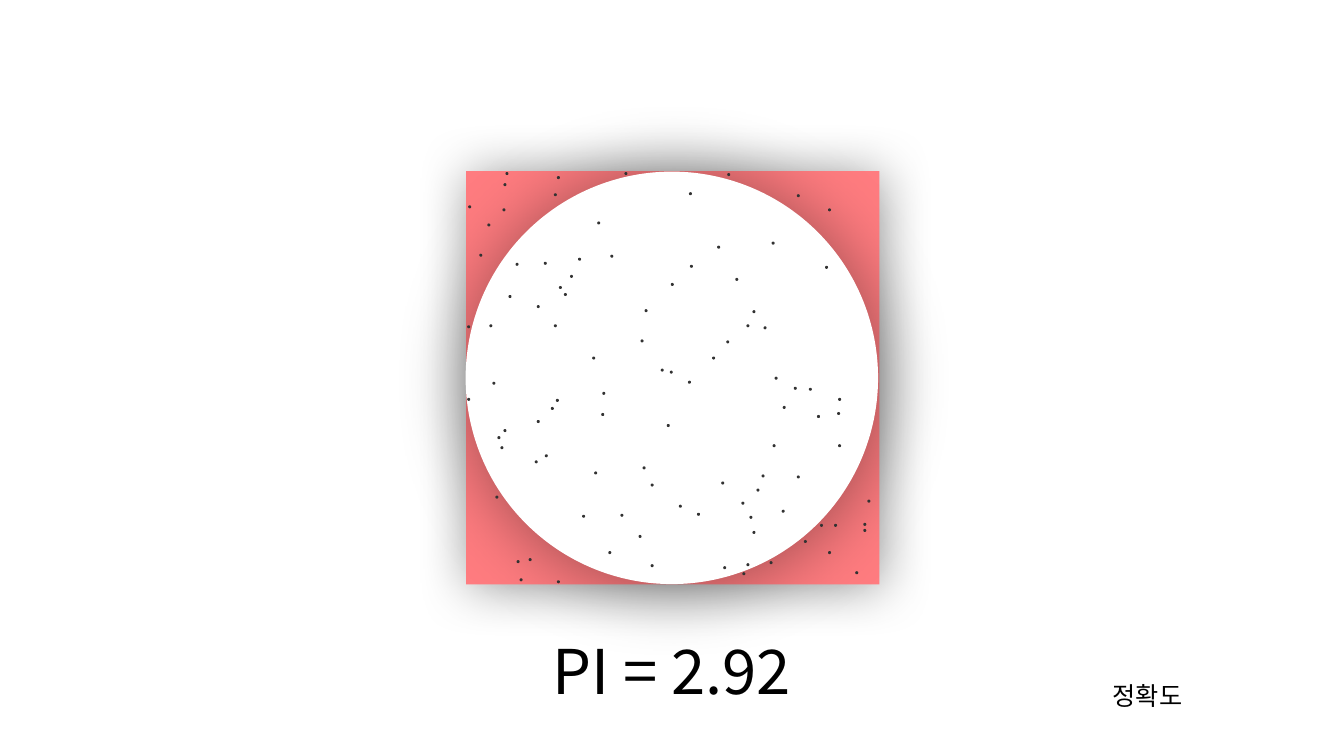
from math import hypot

from lxml import etree
from pptx import Presentation
from pptx.dml.color import RGBColor
from pptx.enum.shapes import MSO_SHAPE as SHAPE
from pptx.enum.text import MSO_ANCHOR as ANCHOR, MSO_AUTO_SIZE as AUTO, PP_ALIGN as ALIGN
from pptx.oxml.ns import qn
from pptx.util import Pt

FONT = "Noto Sans CJK KR"
INK, DOT_INK, CORNER_RED, WHITE = "000000", "323232", "FF7C80", "FFFFFF"
SLIDE_W, SLIDE_H = 960, 540
SIDE = 295.2  # side of the square
DOT = 2.16  # diameter of a sample dot

# The experiment's data: random throws at a square of GRID by GRID steps,
# as column and row from its top left corner
GRID = 410
RADIUS = GRID / 2
THROWS = [
    (42, 123), (37, 12), (394, 349), (111, 86), (203, 111), (90, 406),
    (202, 198), (87, 152), (221, 21), (259, 2), (89, 226), (328, 302),
    (222, 93), (23, 152), (284, 357), (34, 273), (386, 397), (199, 251),
    (359, 37), (255, 392), (340, 215), (278, 389), (249, 74), (1, 153),
    (175, 293), (273, 328), (50, 386), (130, 50), (244, 184), (97, 121),
    (220, 208), (278, 152), (143, 83), (183, 310), (153, 340), (293, 301),
    (135, 219), (49, 91), (13, 82), (29, 322), (134, 240), (141, 377),
    (127, 298), (369, 225), (314, 233), (398, 326), (365, 350), (157, 1),
    (92, 114), (53, 404), (351, 350), (84, 234), (368, 239), (284, 138),
    (70, 133), (31, 263), (62, 384), (335, 366), (78, 281), (87, 22),
    (394, 355), (173, 167), (68, 287), (348, 242), (193, 196), (281, 342),
    (301, 387), (306, 204), (183, 390), (229, 339), (177, 137), (274, 398),
    (328, 23), (103, 103), (70, 247), (369, 271), (37, 256), (304, 271),
    (313, 336), (303, 70), (2, 34), (115, 341), (171, 361), (1, 225),
    (359, 377), (356, 94), (90, 5), (211, 331), (77, 90), (325, 214),
    (267, 106), (258, 168), (21, 52), (36, 37), (39, 1), (288, 315),
    (295, 154), (26, 209), (125, 184), (253, 308),
]


def hits_circle(col, row):
    return hypot(col - RADIUS, row - RADIUS) < RADIUS


def estimate_pi(throws):
    # The circle covers pi / 4 of the square, and so gets that share of throws
    hits = sum(hits_circle(col, row) for col, row in throws)
    return 4 * hits / len(throws)


def color(hex_string):
    return RGBColor.from_string(hex_string)


def add_filled(slide, kind, x, y, w, h, fill):
    s = slide.shapes.add_shape(kind, Pt(x), Pt(y), Pt(w), Pt(h))
    s.shadow.inherit = False
    s.fill.solid()
    s.fill.fore_color.rgb = color(fill)
    s.line.fill.background()
    return s


def add_soft_shadow(s, blur, angle, distance=3, opacity=40):
    effects = s._element.spPr.find(qn("a:effectLst"))
    shadow = etree.SubElement(
        effects, qn("a:outerShdw"), blurRad=str(Pt(blur)), dist=str(Pt(distance)),
        dir=str(angle * 60000), algn="ctr", rotWithShape="0")
    shade = etree.SubElement(shadow, qn("a:srgbClr"), val=INK)
    etree.SubElement(shade, qn("a:alpha"), val=str(opacity * 1000))


def format_text(tf, text, size, fill=INK, align=ALIGN.CENTER):
    tf.word_wrap = False
    tf.auto_size = AUTO.SHAPE_TO_FIT_TEXT
    tf.vertical_anchor = ANCHOR.TOP
    p = tf.paragraphs[0]
    p.alignment = align
    r = p.add_run()
    r.text = text
    r.font.size = Pt(size)
    r.font.name = FONT
    r.font.color.rgb = color(fill)
    etree.SubElement(r._r.get_or_add_rPr(), qn("a:ea"), typeface=FONT)


def add_estimate(slide, x, y, w, h):
    title = slide.shapes.title
    title.left, title.top, title.width, title.height = Pt(x), Pt(y), Pt(w), Pt(h)
    format_text(title.text_frame, f"PI = {estimate_pi(THROWS):.2f}", size=44)


def add_accuracy_label(slide, x, y, w, h):
    tb = slide.shapes.add_textbox(Pt(x), Pt(y), Pt(w), Pt(h))
    format_text(tb.text_frame, "정확도", size=18)


def add_target(slide, x, y, side):
    # Square with its inscribed circle
    square = add_filled(slide, SHAPE.RECTANGLE, x, y, side, side, CORNER_RED)
    add_soft_shadow(square, blur=38, angle=45)
    circle = add_filled(slide, SHAPE.OVAL, x - 0.4, y + 0.4, side - 0.6, side - 0.6, WHITE)
    add_soft_shadow(circle, blur=56, angle=55)

    # One dot for each throw
    step = side / GRID
    for col, row in THROWS:
        add_filled(slide, SHAPE.OVAL, x + col * step, y + row * step, DOT, DOT, DOT_INK)


def main():
    prs = Presentation()
    prs.slide_width, prs.slide_height = Pt(SLIDE_W), Pt(SLIDE_H)
    slide = prs.slides.add_slide(prs.slide_layouts[5])

    title_w = 190.8
    add_estimate(slide, (SLIDE_W - title_w) / 2, 448.6, title_w, 60.5)
    add_target(slide, 333, 122.2, SIDE)
    add_accuracy_label(slide, 787.7, 482.4, 64, 29)
    prs.save("out.pptx")


if __name__ == "__main__":
    main()
